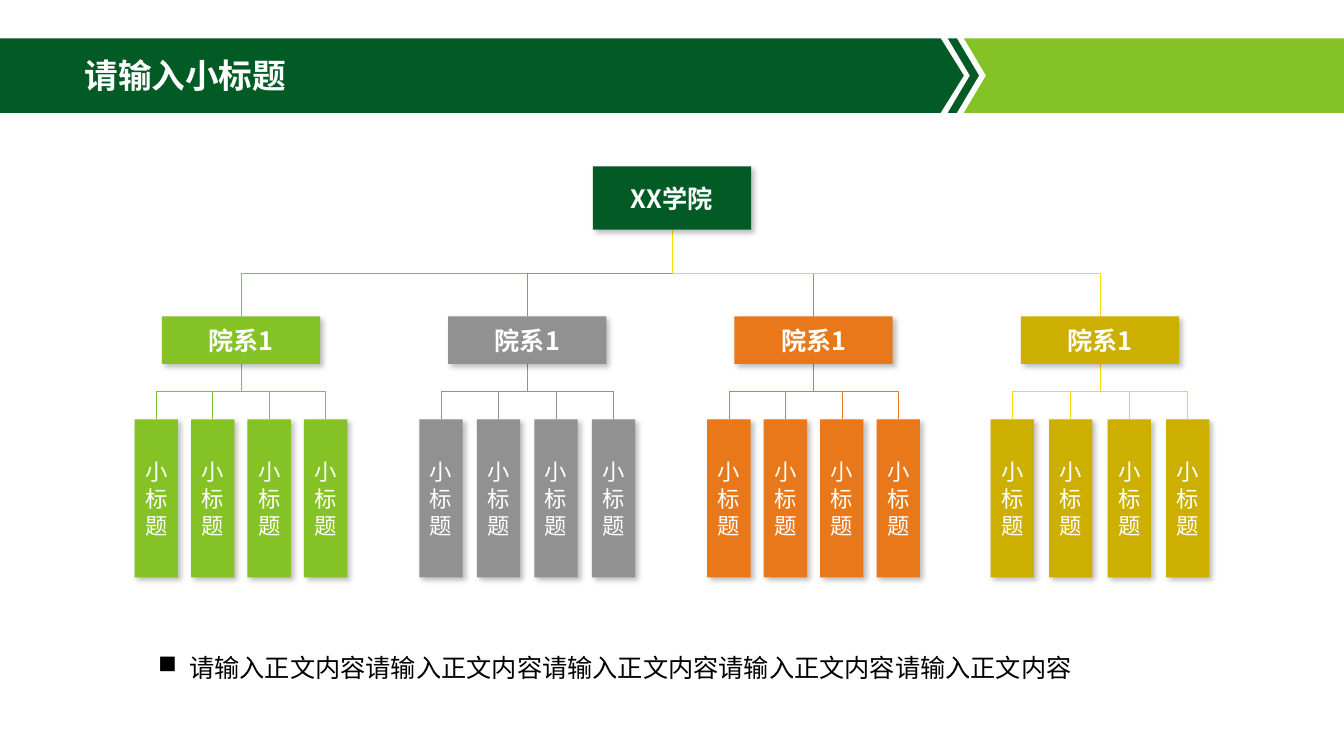
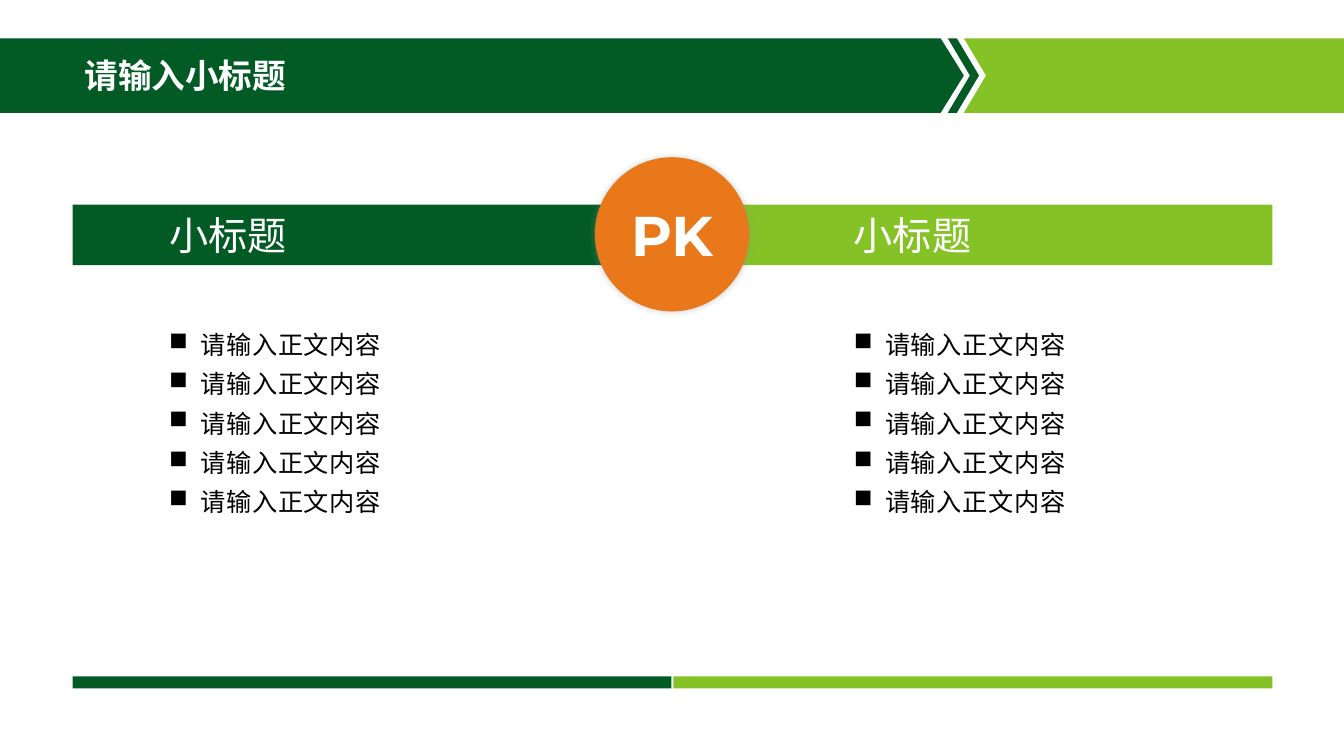
from lxml.etree import SubElement
from pptx import Presentation
from pptx.dml.color import RGBColor
from pptx.enum.shapes import MSO_CONNECTOR, MSO_SHAPE
from pptx.enum.text import MSO_ANCHOR, PP_ALIGN
from pptx.oxml.ns import qn
from pptx.util import Inches, Pt

WIDTH, HEIGHT = 13.33, 7.5
DARK, LIME, GREY, ORANGE, GOLD = "025B25", "85C226", "919191", "E8781A", "CCAF00"
YELLOW, WHITE, BLACK = "FCDB00", "FFFFFF", "000000"
CJK, LATIN = "Noto Sans CJK SC", "Montserrat"

TITLE = "请输入小标题"
BODY = "请输入正文内容"
BAND_TOP, BAND_MIDDLE, BAND_BOTTOM = 0.38, 0.75, 1.12
BANDS = [
    (DARK, [(0, BAND_TOP), (9.33, BAND_TOP), (9.56, BAND_MIDDLE),
            (9.33, BAND_BOTTOM), (0, BAND_BOTTOM)]),
    (DARK, [(9.4, BAND_TOP), (9.49, BAND_TOP), (9.71, BAND_MIDDLE),
            (9.49, BAND_BOTTOM), (9.4, BAND_BOTTOM), (9.62, BAND_MIDDLE)]),
    (LIME, [(9.56, BAND_TOP), (WIDTH, BAND_TOP), (WIDTH, BAND_BOTTOM),
            (9.56, BAND_BOTTOM), (9.78, BAND_MIDDLE)]),
]

COLLEGE = "XX学院"
# name, fill, line colour, distance between the units below
DEPARTMENTS = [
    ("院系1", LIME, LIME, 0.56),
    ("院系1", GREY, GREY, 0.57),
    ("院系1", ORANGE, ORANGE, 0.56),
    ("院系1", GOLD, YELLOW, 0.58),
]
UNITS = ["小标题"] * 4

# heading, colour, left of the bar, left of the text
SIDES = [("小标题", DARK, 0.72, 1.58), ("小标题", LIME, 6.68, 8.37)]
POINTS = [BODY] * 5

# colour, opacity in percent, blur, distance, angle
BOX_SHADOW = (BLACK, 26, 4, 3, 45)
GLOW = (GREY, 40, 5, 0, 0)


def rgb(colour):
    return RGBColor.from_string(colour)


def inches(*lengths):
    return [Inches(length) for length in lengths]


def add_bullet(paragraph):
    props = paragraph._p.get_or_add_pPr()
    props.set("marL", str(Inches(0.31)))
    props.set("indent", str(-Inches(0.31)))
    SubElement(props, qn("a:buFont"), typeface="Wingdings")
    SubElement(props, qn("a:buChar"), char="n")


def write(shape, lines, size, colour=WHITE, bold=False, font=CJK, align=PP_ALIGN.LEFT,
          anchor=MSO_ANCHOR.MIDDLE, spacing=None, bullet=False, tracking=0):
    frame = shape.text_frame
    frame.word_wrap = True
    frame.vertical_anchor = anchor
    for index, line in enumerate(lines):
        paragraph = frame.add_paragraph() if index else frame.paragraphs[0]
        paragraph.alignment = align
        if spacing:
            paragraph.line_spacing = spacing
        if bullet:
            add_bullet(paragraph)
        run = paragraph.add_run()
        run.text = line
        for name, value in {"size": Pt(size), "bold": bold, "name": font}.items():
            setattr(run.font, name, value)
        run.font.color.rgb = rgb(colour)
        props = run._r.get_or_add_rPr()
        SubElement(props, qn("a:ea"), typeface=font)
        if tracking:
            props.set("spc", str(int(tracking * 100)))


def add_text(slide, box, lines, size, **style):
    write(slide.shapes.add_textbox(*inches(*box)), lines, size, **style)


def paint(shape, colour, shadow=None):
    shape.fill.solid()
    shape.fill.fore_color.rgb = rgb(colour)
    shape.line.fill.background()
    shape.shadow.inherit = False
    if shadow:
        tint, opacity, blur, distance, angle = shadow
        effects = shape._element.spPr.find(qn("a:effectLst"))
        outer = SubElement(effects, qn("a:outerShdw"), blurRad=str(Pt(blur)),
                           dist=str(Pt(distance)), dir=str(angle * 60000),
                           algn="tl" if distance else "ctr", rotWithShape="0")
        shade = SubElement(outer, qn("a:srgbClr"), val=tint)
        SubElement(shade, qn("a:alpha"), val=str(opacity * 1000))


def add_block(slide, box, colour, kind=MSO_SHAPE.RECTANGLE, shadow=None):
    shape = slide.shapes.add_shape(kind, *inches(*box))
    paint(shape, colour, shadow)
    return shape


def add_box(slide, centre, top, width, height, colour, label, size, **style):
    """Add a shadowed label box around a vertical axis."""
    box = add_block(slide, (centre - width / 2, top, width, height), colour,
                    shadow=BOX_SHADOW)
    write(box, [label], size, align=PP_ALIGN.CENTER, **style)


def add_branch(slide, x1, y1, x2, y2, colour):
    """Add an elbow that leaves and arrives vertically: a sideways one, turned."""
    middle_x, middle_y = (x1 + x2) / 2, (y1 + y2) / 2
    reach, rise = (y2 - y1) / 2, abs(x2 - x1) / 2
    if x2 > x1:
        reach = -reach
    branch = slide.shapes.add_connector(
        MSO_CONNECTOR.ELBOW,
        *inches(middle_x - reach, middle_y - rise, middle_x + reach, middle_y + rise))
    branch.line.color.rgb = rgb(colour)
    branch.line.width = Pt(0.5)
    props = branch._element.spPr
    props.find(qn("a:xfrm")).set("rot", str((270 if x2 > x1 else 90) * 60000))
    SubElement(props, qn("a:effectLst"))


def add_slide(deck):
    """Add a blank slide with the title bands."""
    slide = deck.slides.add_slide(deck.slide_layouts[6])
    for colour, corners in BANDS:
        start, *others = [inches(*corner) for corner in corners]
        outline = slide.shapes.build_freeform(*start)
        outline.add_line_segments(others, close=True)
        paint(outline.convert_to_shape(), colour)
    add_text(slide, (0.74, 0.44, 8.3, 0.66), [TITLE], 24, bold=True, spacing=0.9)
    return slide


def build_organisation(deck):
    slide = add_slide(deck)
    middle, box_width = WIDTH / 2, 1.57
    college_top, college_height = 1.65, 0.63
    department_top, department_height = 3.14, 0.47
    unit_top, unit_width, unit_height = 4.16, 0.43, 1.57
    first, step = 2.39, 2.84

    for index, (name, fill, line, gap) in enumerate(DEPARTMENTS):
        centre = first + index * step
        add_branch(slide, middle, college_top + college_height,
                   centre, department_top, line)
        for place, unit in enumerate(UNITS):
            unit_centre = centre + (place - (len(UNITS) - 1) / 2) * gap
            add_branch(slide, centre, department_top + department_height,
                       unit_centre, unit_top, line)
            add_box(slide, unit_centre, unit_top, unit_width, unit_height, fill,
                    unit, 16, spacing=Pt(19.2))
        add_box(slide, centre, department_top, box_width, department_height, fill,
                name, 18, bold=True)
    add_box(slide, middle, college_top, box_width, college_height, DARK,
            COLLEGE, 18, bold=True)
    add_text(slide, (1.47, 6.29, 10.74, 0.67), [BODY * 5], 18, colour=BLACK, bullet=True)


def build_comparison(deck):
    slide = add_slide(deck)
    bar_width, circle = 5.94, 1.53
    for heading, colour, bar_left, text_left in SIDES:
        for top, height in [(2.03, 0.6), (6.71, 0.12)]:
            add_block(slide, (bar_left, top, bar_width, height), colour)
        add_text(slide, (text_left, 2.04, 2.21, 0.57), [heading], 28)
        add_text(slide, (text_left, 3.13, 3.74, 2.77), POINTS, 18, colour=BLACK,
                 anchor=MSO_ANCHOR.TOP, spacing=Pt(28), bullet=True, tracking=0.5)
    badge = add_block(slide, ((WIDTH - circle) / 2, 1.56, circle, circle), ORANGE,
                      MSO_SHAPE.OVAL, GLOW)
    write(badge, ["PK"], 40, bold=True, font=LATIN, align=PP_ALIGN.CENTER)


def main():
    deck = Presentation()
    deck.slide_width, deck.slide_height = inches(WIDTH, HEIGHT)
    build_organisation(deck)
    build_comparison(deck)
    deck.save("out.pptx")


if __name__ == "__main__":
    main()
